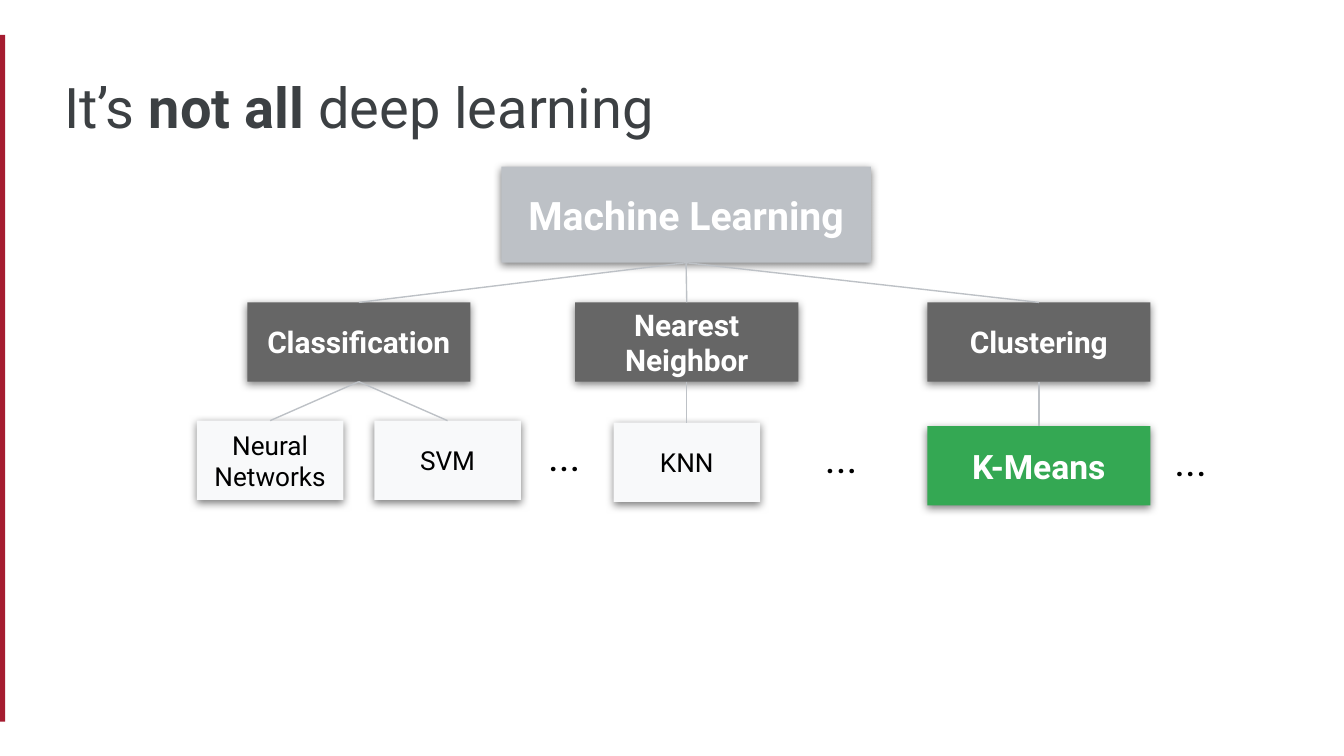
from lxml.etree import SubElement
from pptx import Presentation
from pptx.dml.color import RGBColor
from pptx.enum.shapes import MSO_CONNECTOR, MSO_SHAPE
from pptx.enum.text import MSO_ANCHOR, PP_ALIGN
from pptx.oxml.ns import qn
from pptx.util import Inches, Pt

COLS, ROWS = 100, 56.25
CELL = Inches(0.1)
ROW = 5.9  # height of a branch or leaf box
TOP, BOTTOM = 0, 2  # connection sites
BRANCHES = [
    # box, heading, leaves, leaf style, gap before the dots
    ((18.4, 22.5, 16.6, 14.7), "Classification",
     ["Neural Networks", "SVM"], "leaf", 4.8),
    ((42.8, 22.5, 16.6, 14.85), "Nearest Neighbor", ["KNN"], "leaf", 1),
    ((69, 22.5, 16.6, 15.1), "Clustering", ["K-Means"], "focus", 0.8),
]
STYLES = {
    # width, fill, text format
    "root": (27.5, "BDC1C6", dict(size=21, color="FFFFFF", bold=True)),
    "head": (16.6, "666666", dict(size=16, color="FFFFFF", bold=True)),
    "leaf": (10.9, "F8F9FA", dict(size=14)),
    "focus": (16.6, "34A853", dict(size=18, color="FFFFFF", bold=True)),
}


def paint(fmt, color):
    fmt.solid()
    fmt.fore_color.rgb = RGBColor.from_string(color)


def grid(*cells):
    return [round(n * CELL) for n in cells]


def write(shape, *runs, size=14, color="000000", bold=False,
          align=PP_ALIGN.LEFT, anchor=MSO_ANCHOR.TOP, spacing=None):
    """Fill a shape with one paragraph; a run is text or (text, bold)."""
    frame = shape.text_frame
    frame.word_wrap = True
    frame.vertical_anchor = anchor
    frame.margin_left = frame.margin_right = CELL
    frame.margin_top = frame.margin_bottom = CELL
    para = frame.paragraphs[0]
    para.alignment, para.line_spacing = align, spacing
    for item in runs:
        text, heavy = (item, bold) if isinstance(item, str) else item
        run = para.add_run()
        run.text = text
        run.font.name, run.font.size, run.font.bold = "Roboto", Pt(size), heavy
        paint(run.font.fill, color)


def label(slide, box, *runs, **style):
    write(slide.shapes.add_textbox(*grid(*box)), *runs, **style)


def shade(shape):
    """Give a soft shadow straight below the shape."""
    shape.shadow.inherit = False
    glow = SubElement(shape.element.spPr.find(qn("a:effectLst")),
                      qn("a:outerShdw"), blurRad=str(Pt(4.5)),
                      dist=str(Pt(1.5)), dir="5400000", algn="bl",
                      rotWithShape="0")
    tint = SubElement(glow, qn("a:srgbClr"), val="000000")
    SubElement(tint, qn("a:alpha"), val="50000")


def node(slide, mid, top, text, kind, high=ROW):
    wide, fill, style = STYLES[kind]
    shape = slide.shapes.add_shape(
        MSO_SHAPE.ROUNDED_RECTANGLE, *grid(mid - wide / 2, top, wide, high))
    shape.adjustments[0] = 0
    paint(shape.fill, fill)
    shape.line.fill.background()
    shade(shape)
    write(shape, text, align=PP_ALIGN.CENTER, anchor=MSO_ANCHOR.MIDDLE, **style)
    return shape


def link(slide, upper, lower):
    line = slide.shapes.add_connector(MSO_CONNECTOR.STRAIGHT, 0, 0, 0, 0)
    line.begin_connect(upper, BOTTOM)
    line.end_connect(lower, TOP)
    paint(line.line.fill, "BDC1C6")
    line.line.width = Pt(0.75)
    SubElement(line.element.spPr, qn("a:effectLst"))


def branch(slide, box, name, leaves, kind, gap):
    """Place a heading, its leaves and trailing dots; return the heading."""
    left, top, wide, high = box
    mid, end = left + wide / 2, top + high
    head = node(slide, mid, top, name, "head")
    for i, text in enumerate(leaves):
        shift = (i - (len(leaves) - 1) / 2) * 13.2
        link(slide, head, node(slide, mid + shift, end - ROW, text, kind))
    label(slide, (left + wide + gap, end - 6.2, 4.6, 4.7), "...", size=22)
    return head


def tree(slide, box):
    """Place the root at the top centre of the box, above its branches."""
    left, top, wide, high = box
    heads = [branch(slide, *item) for item in BRANCHES]
    root = node(slide, left + wide / 2, top, "Machine Learning", "root", 7.15)
    for head in heads:
        link(slide, root, head)


def frame(slide, box):
    """Place the side bar and the title."""
    left, top, wide, high = box
    bar = slide.shapes.add_shape(
        MSO_SHAPE.RECTANGLE, *grid(left - 0.2, top + 2.6, 0.6, high - 5.15))
    bar.shadow.inherit = False
    paint(bar.fill, "A51C30")
    bar.line.fill.background()
    label(slide, (left + 3.8, top + 4.95, wide - 14.7, 5.9),
          "It’s ", ("not all", True), " deep learning",
          size=30, color="3C4043", spacing=0.9)


def main():
    deck = Presentation()
    deck.slide_width, deck.slide_height = grid(COLS, ROWS)
    slide = deck.slides.add_slide(deck.slide_layouts[6])
    frame(slide, (0, 0, COLS, ROWS))
    tree(slide, (14.5, 12.4, 73.1, 25.2))
    deck.save("out.pptx")


if __name__ == "__main__":
    main()
